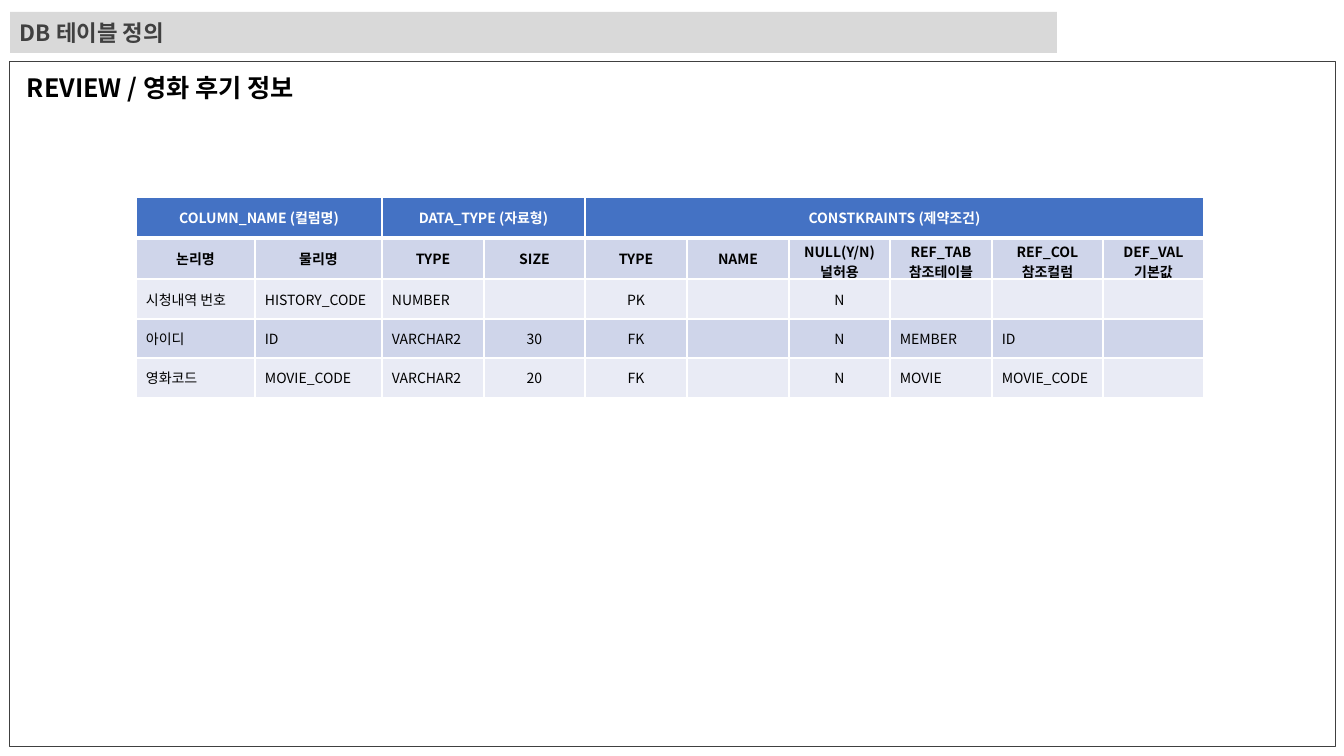
import pptx
import pptx.util
import pptx.dml.color
import pptx.enum.shapes
import pptx.enum.text
import pptx.oxml.ns
from lxml import etree

RGB = pptx.dml.color.RGBColor
ALIGN = pptx.enum.text.PP_ALIGN
MIDDLE = pptx.enum.text.MSO_ANCHOR.MIDDLE
qn = pptx.oxml.ns.qn

TITLE = "DB 테이블 정의"
NAME = "REVIEW / 영화 후기 정보"
GROUPS = [("COLUMN_NAME (컬럼명)", 2), ("DATA_TYPE (자료형)", 2),
          ("CONSTKRAINTS (제약조건)", 6)]
HEADS = ["논리명", "물리명", "TYPE", "SIZE", "TYPE", "NAME", "NULL(Y/N)\n널허용",
         "REF_TAB\n참조테이블", "REF_COL\n참조컬럼", "DEF_VAL\n기본값"]
FIELDS = [
    ["시청내역 번호", "HISTORY_CODE", "NUMBER", "", "PK", "", "N", "", "", ""],
    ["아이디", "ID", "VARCHAR2", "30", "FK", "", "N", "MEMBER", "ID", ""],
    ["영화코드", "MOVIE_CODE", "VARCHAR2", "20", "FK", "", "N", "MOVIE",
     "MOVIE_CODE", ""],
]
CENTRED = {3, 4, 6}
WIDTHS = [119, 127, 102, 101, 102, 102, 101, 102, 111, 101]
HEIGHTS = [41, 41, 40, 39, 40]

FONT = "Noto Sans CJK KR"
BLACK = RGB(0x00, 0x00, 0x00)
WHITE = RGB(0xFF, 0xFF, 0xFF)
DARK = RGB(0x40, 0x40, 0x40)
GREY = RGB(0xD9, 0xD9, 0xD9)
BLUE = RGB(0x44, 0x72, 0xC4)
MID = RGB(0xCF, 0xD5, 0xEA)
PALE = RGB(0xE9, 0xEB, 0xF5)


def px(count):
    return pptx.util.Emu(round(count * 914400 / 100.8))


def assign(item, values):
    for key, value in values.items():
        setattr(item, key, value)


def write(frame, text, size, colour, bold, align=ALIGN.LEFT):
    """Fill a text frame, one paragraph for each line of text."""
    for index, line in enumerate(text.split("\n")):
        para = frame.paragraphs[0] if index == 0 else frame.add_paragraph()
        para.alignment = align
        if not line:
            end = etree.SubElement(para._p, qn("a:endParaRPr"))
            end.set("sz", str(size * 100))
            continue
        run = para.add_run()
        run.text = line
        assign(run.font, {"name": FONT, "size": pptx.util.Pt(size), "bold": bold})
        run.font.color.rgb = colour
        etree.SubElement(run.font._element, qn("a:ea")).set("typeface", FONT)


def border(cell, row):
    rule = {"L": 1, "R": 1, "T": 3 if row == 1 else 1, "B": 3 if row == 0 else 1}
    props = cell._tc.get_or_add_tcPr()
    for side, width in rule.items():
        line = etree.SubElement(props, qn("a:ln" + side))
        line.set("w", str(pptx.util.Pt(width)))
        fill = etree.SubElement(line, qn("a:solidFill"))
        etree.SubElement(fill, qn("a:srgbClr")).set("val", str(WHITE))


def block(slide, *box):
    """Add a plain rectangle without a shadow."""
    kind = pptx.enum.shapes.MSO_SHAPE.RECTANGLE
    shape = slide.shapes.add_shape(kind, *map(px, box))
    shape.shadow.inherit = False
    return shape


def grid(slide):
    rows = [[], HEADS, *FIELDS]
    for text, span in GROUPS:
        rows[0] += [text] + [""] * (span - 1)
    box = (136, 197, sum(WIDTHS), sum(HEIGHTS))
    table = slide.shapes.add_table(len(rows), len(WIDTHS), *map(px, box)).table
    for col, width in zip(table.columns, WIDTHS):
        col.width = px(width)
    for row, height in zip(table.rows, HEIGHTS):
        row.height = px(height)
    for r, row in enumerate(rows):
        head = r < 2
        side, edge = (px(6), px(3)) if head else (px(10), px(6))
        form = {"margin_left": side, "margin_right": side, "margin_top": edge,
                "margin_bottom": edge, "vertical_anchor": MIDDLE}
        for c, text in enumerate(row):
            cell = table.cell(r, c)
            assign(cell, form)
            border(cell, r)
            cell.fill.solid()
            cell.fill.fore_color.rgb = BLUE if r == 0 else MID if r % 2 else PALE
            align = ALIGN.CENTER if head or c in CENTRED else ALIGN.LEFT
            write(cell.text_frame, text, 10, BLACK if r else WHITE, head, align)
    start = 0
    for text, span in GROUPS:
        table.cell(0, start).merge(table.cell(0, start + span - 1))
        start += span


def main():
    deck = pptx.Presentation()
    assign(deck, {"slide_width": px(1344), "slide_height": px(756)})
    slide = deck.slides.add_slide(deck.slide_layouts[6])

    label = slide.shapes.add_textbox(*map(px, (17, 67, 325, 40))).text_frame
    assign(label, {"word_wrap": False,
                   "auto_size": pptx.enum.text.MSO_AUTO_SIZE.SHAPE_TO_FIT_TEXT})
    write(label, NAME, 18, BLACK, True)

    bar = block(slide, 10, 12, 1047, 41)
    bar.fill.solid()
    bar.fill.fore_color.rgb = GREY
    bar.line.fill.background()
    bar.text_frame.vertical_anchor = MIDDLE
    write(bar.text_frame, TITLE, 16, DARK, True)

    panel = block(slide, 9, 61, 1326, 685)
    panel.fill.background()
    panel.line.color.rgb = DARK
    panel.line.width = pptx.util.Pt(0.5)

    grid(slide)
    deck.save("out.pptx")


if __name__ == "__main__":
    main()
